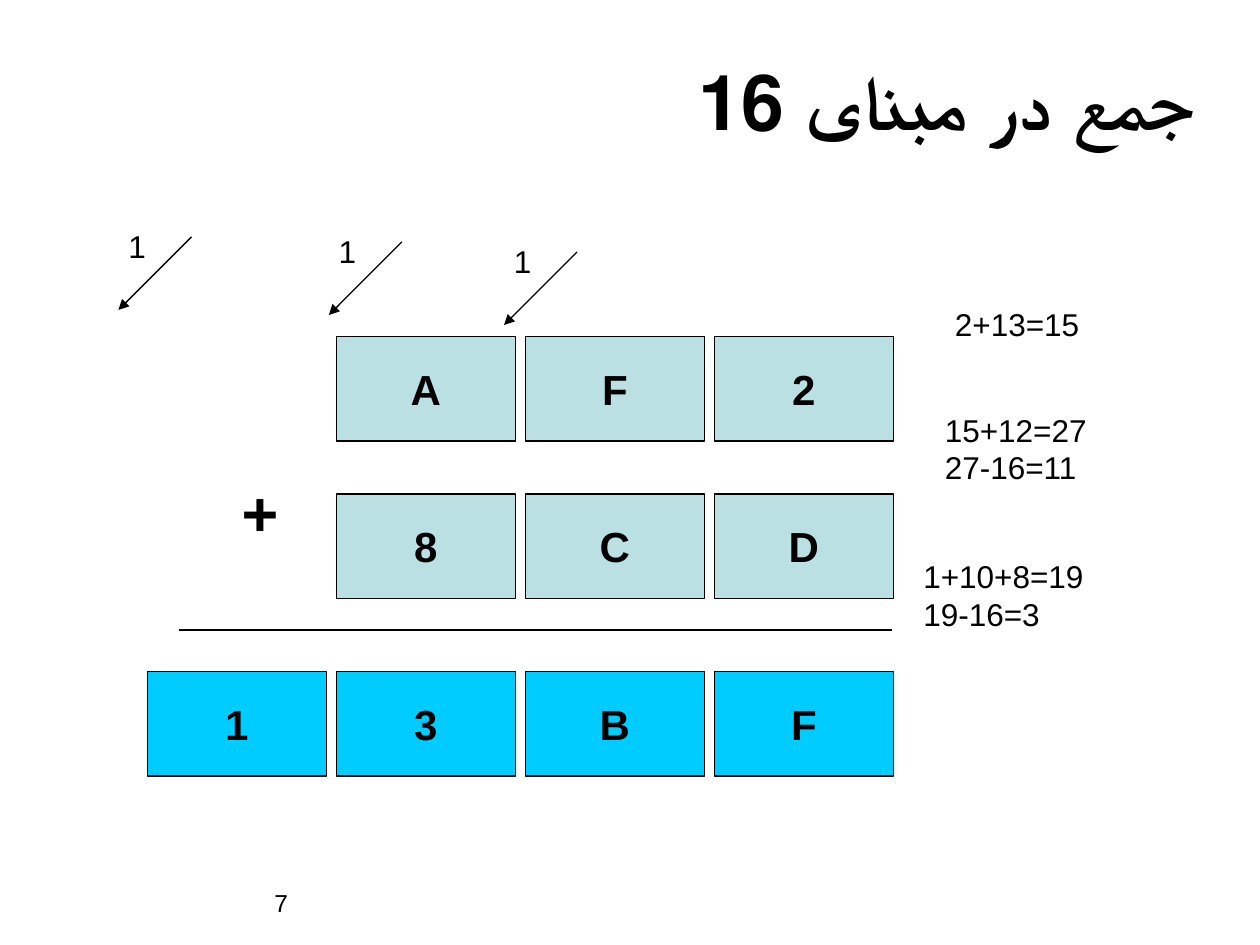
from pptx import Presentation
from pptx.dml.color import RGBColor
from pptx.enum.shapes import MSO_CONNECTOR, MSO_SHAPE
from pptx.enum.text import MSO_ANCHOR, MSO_AUTO_SIZE, PP_ALIGN
from pptx.oxml.ns import qn
from pptx.util import Inches, Pt
from lxml import etree

RECTANGLE = MSO_SHAPE.RECTANGLE
STRAIGHT = MSO_CONNECTOR.STRAIGHT
MIDDLE = MSO_ANCHOR.MIDDLE
NO_FIT, GROW = MSO_AUTO_SIZE.NONE, MSO_AUTO_SIZE.SHAPE_TO_FIT_TEXT
CENTER, RIGHT = PP_ALIGN.CENTER, PP_ALIGN.RIGHT

FONT = "Arial"
COLORS = {"ink": "000000", "operand": "BBE0E3", "result": "00CCFF"}
GRID_LEFT, COLUMN_STEP = 1.17, 1.5
CELL_WIDTH, CELL_HEIGHT = 1.42, 0.83

NUMBERS = [
    (2.67, 1, "AF2", "operand"),
    (3.92, 1, "8CD", "operand"),
    (5.33, 0, "13BF", "result"),
]
CARRIES = [(0.92, 1.75), (2.59, 1.79), (3.98, 1.87)]
STEPS = [
    (7.48, 2.37, 1.18, 0.4, ["2+13=15"]),
    (7.4, 3.21, 1.32, 0.7, ["15+12=27", "27-16=11"]),
    (7.23, 4.37, 1.47, 0.7, ["1+10+8=19", "19-16=3"]),
]


def color(name):
    return RGBColor.from_string(COLORS[name])


def write(frame, lines, size, bold=False, align=None):
    for index, line in enumerate(lines):
        para = frame.add_paragraph() if index else frame.paragraphs[0]
        para.alignment = align
        span = para.add_run()
        span.text = line
        span.font.name = FONT
        span.font.size = Pt(size)
        span.font.bold = bold
        span.font.color.rgb = color("ink")


def add_label(page, left, top, width, height, lines, size, bold=False):
    box = page.shapes.add_textbox(*map(Inches, (left, top, width, height)))
    box.text_frame.word_wrap = True
    box.text_frame.margin_right = 0
    box.text_frame.auto_size = GROW
    write(box.text_frame, lines, size, bold)


def add_digit(page, column, top, digit, fill):
    left = GRID_LEFT + column * COLUMN_STEP
    box = page.shapes.add_shape(
        RECTANGLE, *map(Inches, (left, top, CELL_WIDTH, CELL_HEIGHT)))
    box.shadow.inherit = False
    box.fill.solid()
    box.fill.fore_color.rgb = color(fill)
    box.line.color.rgb = color("ink")
    box.line.width = Pt(0.75)
    box.text_frame.word_wrap = False
    box.text_frame.vertical_anchor = MIDDLE
    write(box.text_frame, [digit], 24, True, CENTER)


def add_line(page, start, end, arrow=False):
    line = page.shapes.add_connector(STRAIGHT, *map(Inches, start + end))
    line.line.color.rgb = color("ink")
    line.line.width = Pt(0.75)
    properties = line._element.spPr
    if arrow:
        outline = properties.find(qn("a:ln"))
        etree.SubElement(outline, qn("a:tailEnd"), type="triangle")
    etree.SubElement(properties, qn("a:effectLst"))


def add_carry(page, left, top):
    add_line(page, (left + 0.6, top + 0.13), (left + 0.02, top + 0.71), True)
    add_label(page, left, top, 0.34, 0.4, ["1"], 18)


def set_title(page, text):
    title = page.shapes.title
    title.left, title.top, title.width, title.height = map(
        Inches, (1.92, 0.33, 7.67, 0.92))
    frame = title.text_frame
    frame.auto_size = NO_FIT
    frame.vertical_anchor = MIDDLE
    write(frame, [text], 44, True, RIGHT)
    frame.paragraphs[0]._p.get_or_add_pPr().set("rtl", "1")


def main():
    deck = Presentation()
    deck.slide_width, deck.slide_height = Inches(10), Inches(7.5)
    page = deck.slides.add_slide(deck.slide_layouts[5])
    set_title(page, "جمع در مبنای 16")
    for top, first_column, digits, fill in NUMBERS:
        for column, digit in enumerate(digits, first_column):
            add_digit(page, column, top, digit, fill)
    add_label(page, 1.82, 3.71, 0.49, 0.7, ["+"], 36, True)
    add_line(page, (1.42, 5), (7.08, 5))
    for left, top in CARRIES:
        add_carry(page, left, top)
    for left, top, width, height, lines in STEPS:
        add_label(page, left, top, width, height, lines, 18)
    add_label(page, 2.08, 7, 1.5, 0.5, ["7"], 14)
    deck.save("out.pptx")


if __name__ == "__main__":
    main()
